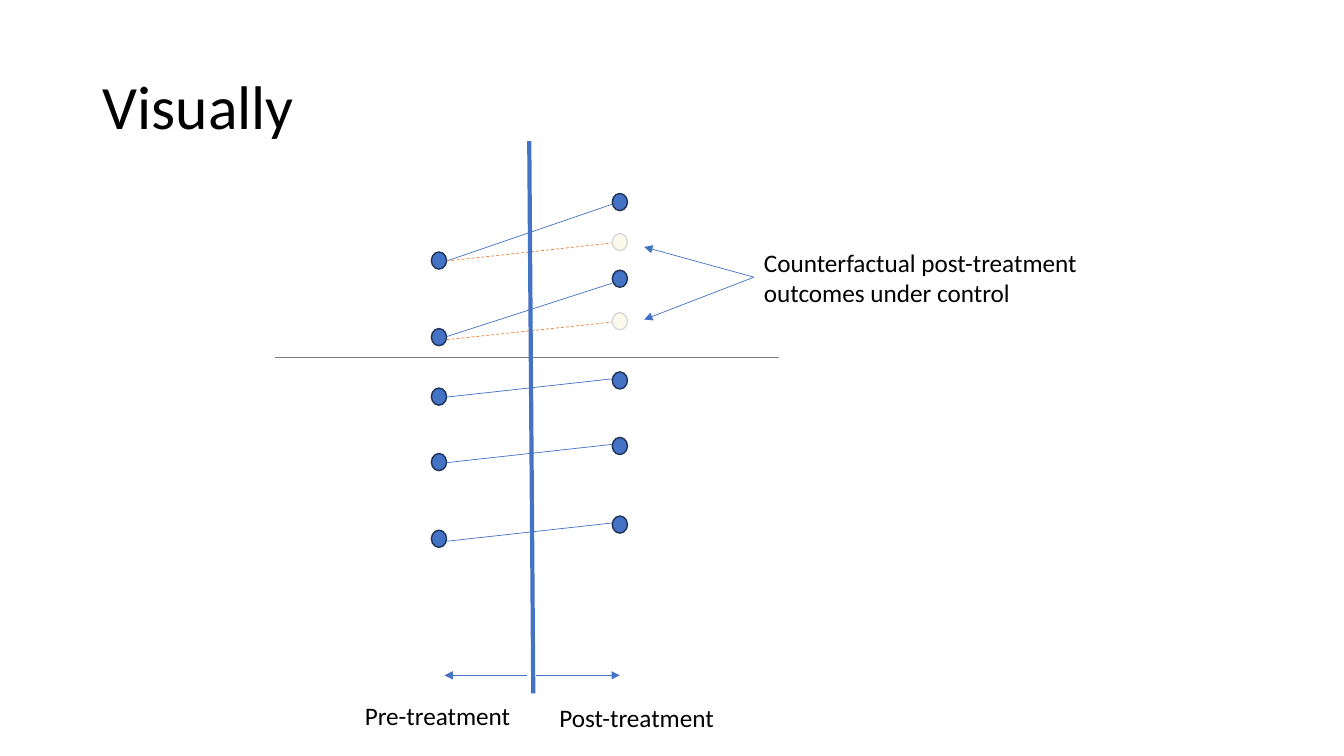
from dataclasses import dataclass

from lxml.etree import SubElement
from pptx import Presentation
from pptx.dml.color import RGBColor
from pptx.enum.dml import MSO_LINE
from pptx.enum.shapes import MSO_CONNECTOR, MSO_SHAPE
from pptx.enum.text import MSO_ANCHOR
from pptx.oxml.ns import qn
from pptx.util import Inches, Pt


@dataclass(frozen=True)
class Theme:
    """Colours, type sizes and line widths of the slide."""

    font: str = "Calibri"
    text: str = "000000"
    blue: str = "4472C4"
    navy: str = "1E3256"
    orange: str = "ED7D31"
    cream: str = "FAF9EA"
    pale: str = "D9D9D9"
    grey: str = "7F7F7F"
    title_size: float = 44
    body_size: float = 18
    thin: float = 0.5
    outline: float = 1
    thick: float = 3


class SlideBuilder:
    """Draws styled elements on a grid of 100 columns by 100 rows."""

    def __init__(self, presentation, theme):
        """Open a blank slide and measure its grid."""
        self.theme = theme
        self.slide = presentation.slides.add_slide(presentation.slide_layouts[6])
        self.column = presentation.slide_width / 100
        self.row = presentation.slide_height / 100

    def place(self, *lengths):
        """Turn alternating columns and rows into slide lengths."""
        units = (self.column, self.row) * 2
        return [round(length * unit) for length, unit in zip(lengths, units)]

    def apply(self, target, values):
        """Set each named value on the target."""
        for name, value in values.items():
            setattr(target, name, value)

    def text(self, box, words, size, wrap=True, **frame_format):
        """Add a text box holding one paragraph."""
        frame = self.slide.shapes.add_textbox(*self.place(*box)).text_frame
        self.apply(frame, {"word_wrap": wrap, **frame_format})
        paragraph = frame.paragraphs[0]
        paragraph.text = words
        self.apply(paragraph.font, {"name": self.theme.font, "size": Pt(size)})
        paragraph.font.color.rgb = RGBColor.from_string(self.theme.text)
        return paragraph

    def dot(self, x, y, fill, outline):
        """Add an outcome dot centred on a grid point."""
        width, height = 1.13, 2.27
        shape = self.slide.shapes.add_shape(
            MSO_SHAPE.OVAL, *self.place(x - width / 2, y - height / 2, width, height))
        shape.shadow.inherit = False
        shape.fill.solid()
        shape.fill.fore_color.rgb = RGBColor.from_string(fill)
        shape.line.color.rgb = RGBColor.from_string(outline)
        shape.line.width = Pt(self.theme.outline)

    def line(self, start, end, color, width=None, arrow=False, **line_format):
        """Add a straight line, with an arrowhead at its end if asked."""
        connector = self.slide.shapes.add_connector(
            MSO_CONNECTOR.STRAIGHT, *self.place(*start, *end))
        connector.line.color.rgb = RGBColor.from_string(color)
        self.apply(connector.line, {"width": Pt(width or self.theme.thin), **line_format})
        properties = connector.element.spPr
        if arrow:
            SubElement(properties.find(qn("a:ln")), qn("a:tailEnd"), type="triangle")
        SubElement(properties, qn("a:effectLst"))


def main():
    """Build the treatment diagram and save it."""
    presentation = Presentation()
    presentation.slide_width = Inches(13.33)
    presentation.slide_height = Inches(7.5)
    theme = Theme()
    builder = SlideBuilder(presentation, theme)

    title = builder.text((6.9, 4.8, 86.25, 19.33), "Visually", theme.title_size,
                         vertical_anchor=MSO_ANCHOR.MIDDLE)
    title.line_spacing = 0.9

    pre, pre_edge, post = 32.66, 33.23, 46.12
    builder.line((20.48, 47.33), (57.98, 47.33), theme.grey)

    outcomes = [
        (34.47, 34.53, (post, 26.67), 26.73),
        (44.6, 44.53, (45.53, 37.47), 36.87),
        (52.47, 52.53, (post, 50), 50.33),
        (61.13, 61.2, (post, 58.67), 59),
        (71.27, 71.6, (post, 69.07), 69.4),
    ]
    for pre_y, start_y, end, post_y in outcomes:
        builder.dot(pre, pre_y, theme.blue, theme.navy)
        builder.line((pre_edge, start_y), end, theme.blue)
        builder.dot(post, post_y, theme.blue, theme.navy)

    for start_y, post_y in [(34.53, 32.03), (44.93, 42.5)]:
        builder.line((pre_edge, start_y), (post, post_y), theme.orange,
                     dash_style=MSO_LINE.DASH)
        builder.dot(post, post_y, theme.cream, theme.pale)

    builder.line((39.38, 18.67), (39.68, 91.73), theme.blue, theme.thick)

    arrows = [
        ((39.23, 89.33), (33.08, 89.33)),
        ((39.9, 89.33), (post, 89.33)),
        ((56.1, 36.67), (47.93, 32.67)),
        ((56.1, 36.67), (47.93, 42.27)),
    ]
    for start, end in arrows:
        builder.line(start, end, theme.blue, arrow=True)

    labels = [
        ((26.4, 92, 12.45, 5.33), "Pre-treatment", False),
        ((40.88, 92.27, 13.2, 5.33), "Post-treatment", False),
        ((56.1, 32, 26.4, 9.47),
         "Counterfactual post-treatment outcomes under control", True),
    ]
    for box, words, wrap in labels:
        builder.text(box, words, theme.body_size, wrap)

    presentation.save("out.pptx")


if __name__ == "__main__":
    main()
